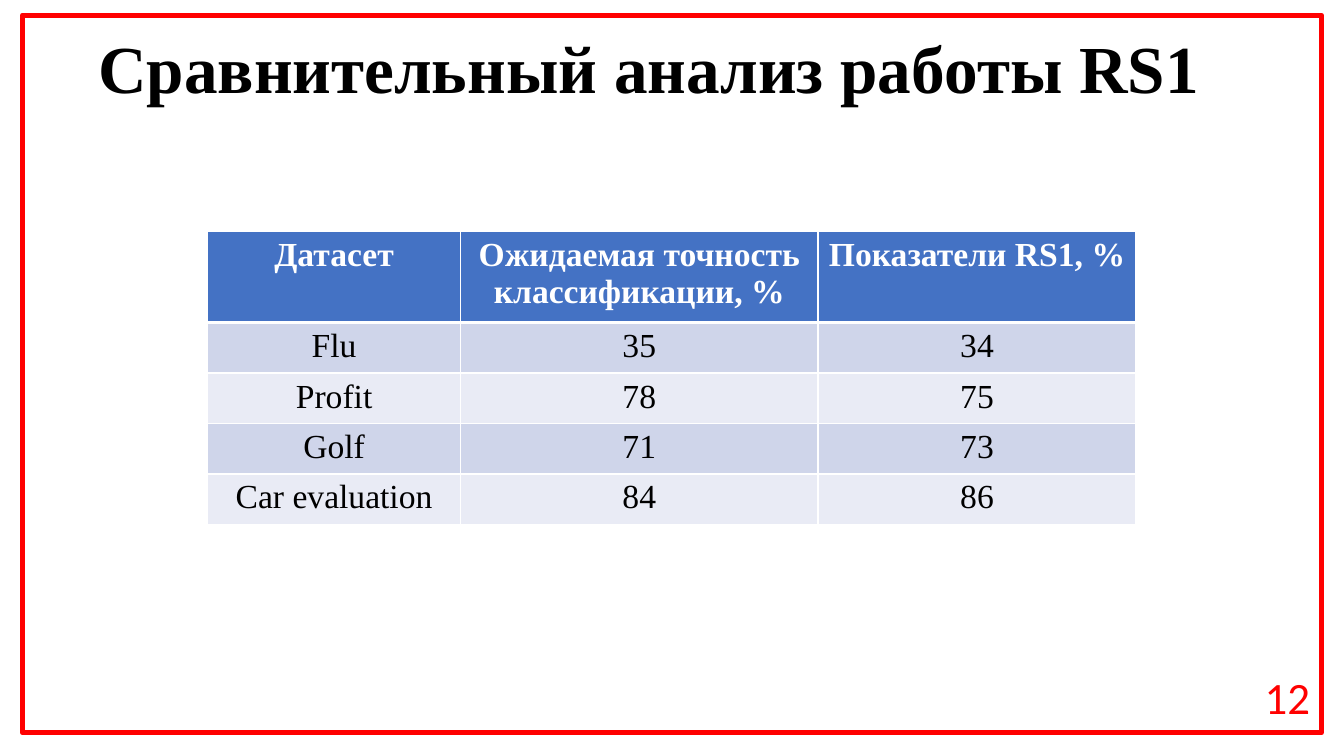
import pptx
import pptx.dml.color
import pptx.enum.shapes
import pptx.enum.text
import pptx.oxml
import pptx.oxml.ns
import pptx.util

Pt = pptx.util.Pt
RGBColor = pptx.dml.color.RGBColor
ALIGN = pptx.enum.text.PP_ALIGN
ANCHOR = pptx.enum.text.MSO_ANCHOR

BLACK = RGBColor(0, 0, 0)
WHITE = RGBColor(255, 255, 255)
RED = RGBColor(255, 0, 0)
HEADER_BLUE = RGBColor(0x44, 0x72, 0xC4)
BANDS = (RGBColor(0xCF, 0xD5, 0xEA), RGBColor(0xE9, 0xEB, 0xF5))

RESULTS = [
    ("Датасет", "Ожидаемая точность классификации, %", "Показатели RS1, %"),
    ("Flu", "35", "34"),
    ("Profit", "78", "75"),
    ("Golf", "71", "73"),
    ("Car evaluation", "84", "86"),
]


def write(frame, text, *, size, color=BLACK, font="Times New Roman", bold=False, spacing=None):
    paragraph = frame.paragraphs[0]
    paragraph.alignment = ALIGN.CENTER
    paragraph.line_spacing = spacing
    run = paragraph.add_run()
    run.text = text
    run.font.name = font
    run.font.size = Pt(size)
    run.font.bold = bold
    run.font.color.rgb = color


class FramedSlide:
    """Slide with a red frame and the methods that draw its elements."""

    def __init__(self, deck):
        self.slide = deck.slides.add_slide(deck.slide_layouts[5])
        self.shapes = self.slide.shapes

    def title(self, text, left, top, width, height):
        heading = self.shapes.title
        heading.left, heading.top = Pt(left), Pt(top)
        heading.width, heading.height = Pt(width), Pt(height)
        frame = heading.text_frame
        frame.auto_size = pptx.enum.text.MSO_AUTO_SIZE.NONE
        frame.vertical_anchor = ANCHOR.BOTTOM
        write(frame, text, size=48, bold=True, spacing=0.9)

    def border(self, left, top, width, height):
        outline = self.shapes.add_shape(
            pptx.enum.shapes.MSO_SHAPE.RECTANGLE, Pt(left), Pt(top), Pt(width), Pt(height))
        outline.shadow.inherit = False
        outline.fill.background()
        outline.line.color.rgb = RED
        outline.line.width = Pt(3.5)

    def page_number(self, text, left, top, width, height):
        number = self.shapes.add_textbox(Pt(left), Pt(top), Pt(width), Pt(height))
        frame = number.text_frame
        frame.word_wrap = True
        frame.vertical_anchor = ANCHOR.MIDDLE
        write(frame, text, size=32, color=RED, font="Calibri")

    def edge_cell(self, cell, bottom):
        properties = cell._tc.get_or_add_tcPr()
        widths = {"lnL": 1, "lnR": 1, "lnT": 1, "lnB": bottom}
        for position, (side, width) in enumerate(widths.items()):
            properties.insert(position, pptx.oxml.parse_xml(
                f'<a:{side} {pptx.oxml.ns.nsdecls("a")} w="{Pt(width)}">'
                f'<a:solidFill><a:srgbClr val="{WHITE}"/></a:solidFill></a:{side}>'))

    def table(self, rows, left, top, widths, row_height):
        grid = self.shapes.add_table(
            len(rows), len(widths), Pt(left), Pt(top),
            Pt(sum(widths)), Pt(row_height * len(rows))).table
        for column, width in zip(grid.columns, widths):
            column.width = Pt(width)
        for r, values in enumerate(rows):
            header = r == 0
            grid.rows[r].height = Pt(row_height)
            for c, value in enumerate(values):
                cell = grid.cell(r, c)
                cell.fill.solid()
                cell.fill.fore_color.rgb = HEADER_BLUE if header else BANDS[(r - 1) % 2]
                self.edge_cell(cell, 3 if header else 1)
                if r == 1:
                    cell._tc.tcPr.find(pptx.oxml.ns.qn("a:lnT")).set("w", str(Pt(3)))
                write(cell.text_frame, value, size=24,
                      color=WHITE if header else BLACK, bold=header)


def main():
    deck = pptx.Presentation()
    deck.slide_width, deck.slide_height = Pt(960), Pt(540)
    comparison = FramedSlide(deck)
    comparison.title("Сравнительный анализ работы RS1 ", 61, 2, 817, 79)
    comparison.border(16, 10.8, 928, 512.6)
    comparison.page_number("12", 895, 465, 49, 65)
    comparison.table(RESULTS, 148.3, 165.6, (180.7, 255.3, 227.2), 29.5)
    deck.save("out.pptx")


if __name__ == "__main__":
    main()
